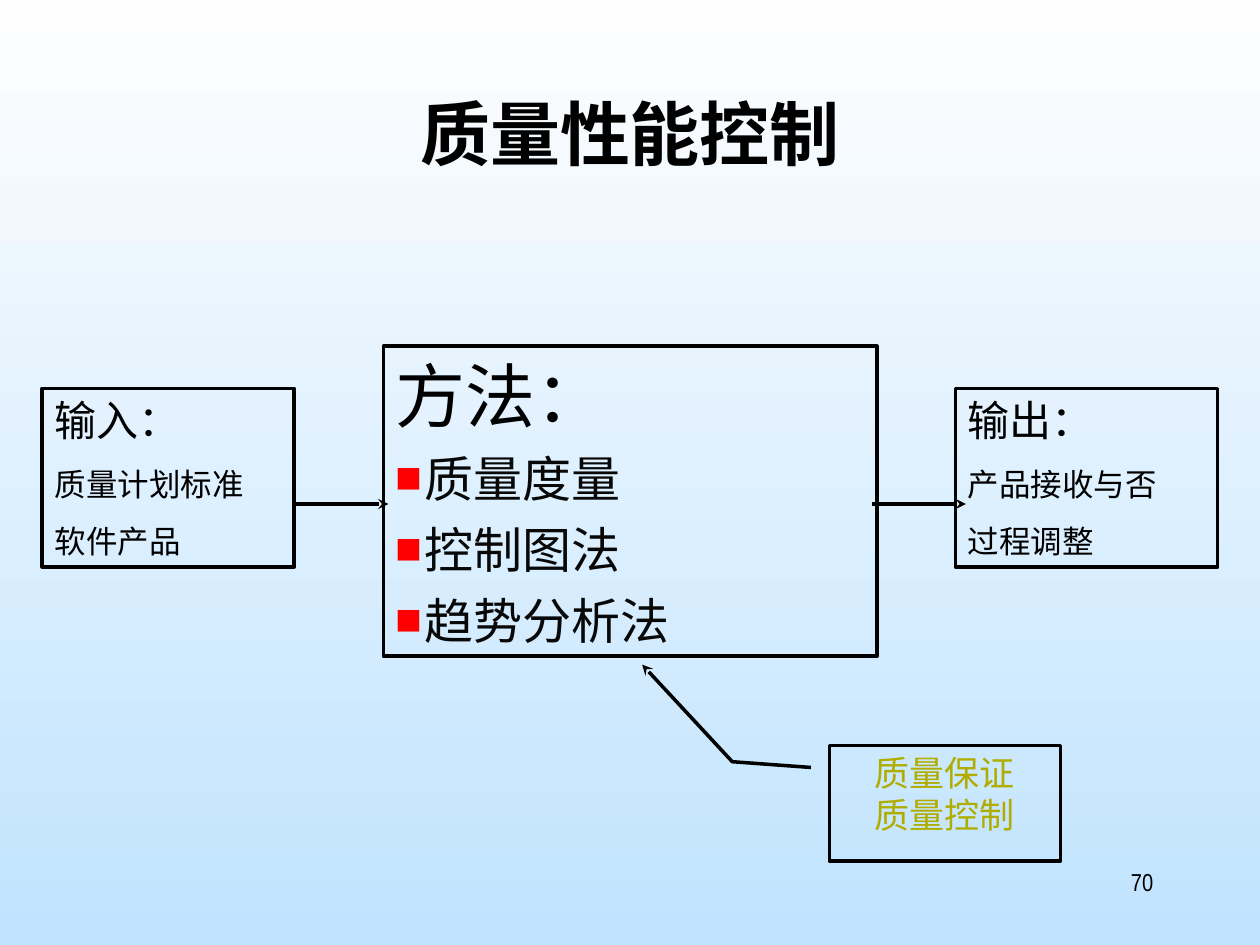
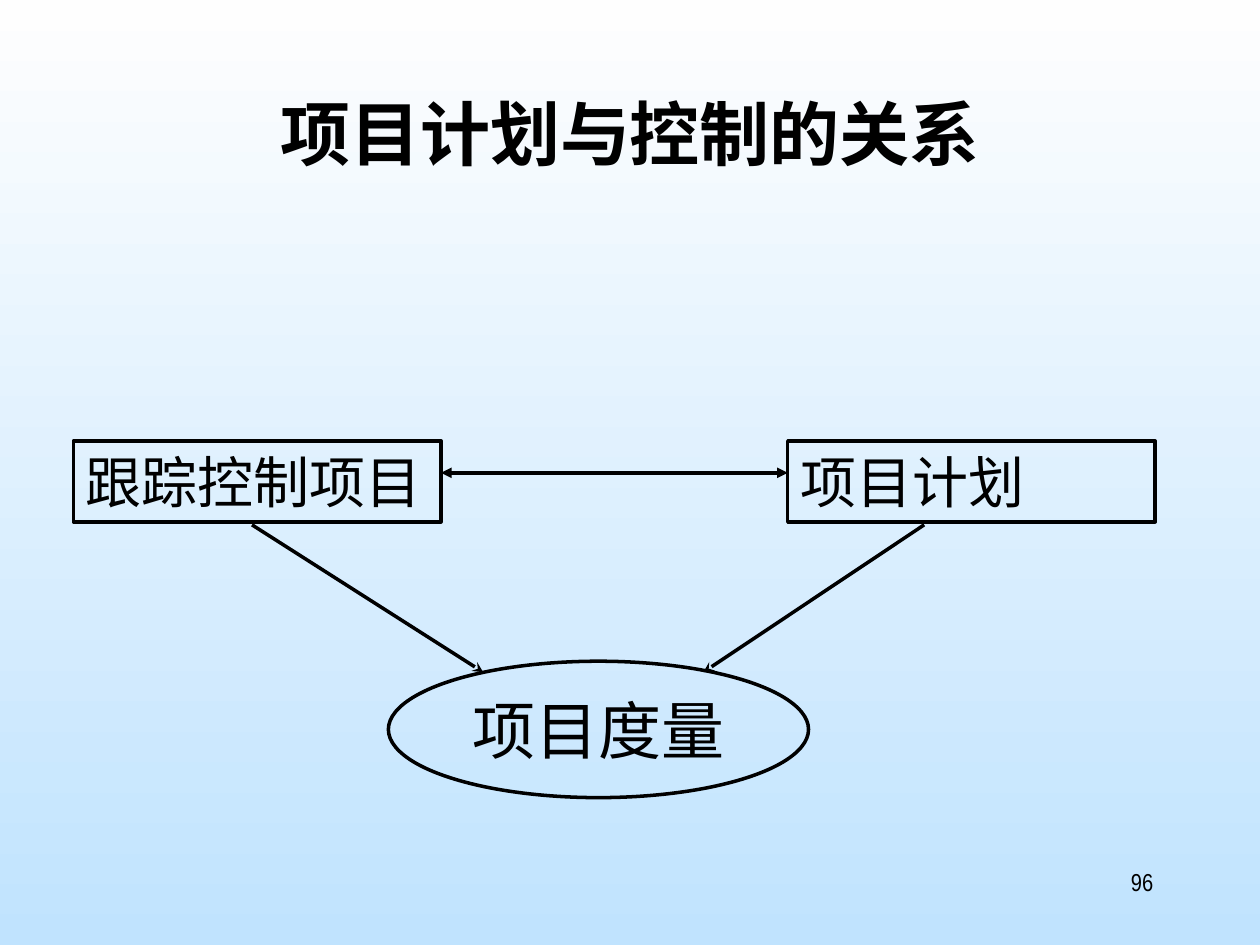
from dataclasses import dataclass
from typing import Optional

from lxml import etree
from pptx import Presentation
from pptx import util as u
from pptx.dml.color import RGBColor
from pptx.enum import lang, shapes, text
from pptx.oxml import ns

BLACK = RGBColor(0x00, 0x00, 0x00)
INK = RGBColor(0x08, 0x08, 0x08)
RED = RGBColor(0xFF, 0x00, 0x00)
OLIVE = RGBColor(0xB0, 0xAC, 0x00)
SKY_TOP = RGBColor(0xFE, 0xFE, 0xFE)
SKY_BOTTOM = RGBColor(0xC0, 0xE3, 0xFE)

NARROW = "Arial Narrow"
SANS = "Noto Sans CJK SC"
LEFT, CENTER, RIGHT = text.PP_ALIGN.LEFT, text.PP_ALIGN.CENTER, text.PP_ALIGN.RIGHT
RECT, OVAL = shapes.MSO_SHAPE.RECTANGLE, shapes.MSO_SHAPE.OVAL
CALLOUT = shapes.MSO_SHAPE.LINE_CALLOUT_2


@dataclass(frozen=True)
class Para:
    """A paragraph of one run."""
    words: str
    size: float
    before: float = 0
    bullet: bool = False
    color: RGBColor = BLACK
    font: str = NARROW
    bold: bool = False
    align: text.PP_ALIGN = LEFT


@dataclass(frozen=True)
class Box:
    """A text area in centimetres, outlined when it has a kind."""
    x: float
    y: float
    w: float
    h: float
    paras: tuple[Para, ...]
    kind: Optional[shapes.MSO_SHAPE] = RECT
    grow: bool = True
    adjust: tuple[float, ...] = ()


@dataclass(frozen=True)
class Arrow:
    """A straight arrow in centimetres."""
    x1: float
    y1: float
    x2: float
    y2: float
    head: Optional[str] = None
    tail: str = "stealth"


@dataclass(frozen=True)
class Page:
    """The contents of one slide."""
    title: str
    number: int
    boxes: tuple[Box, ...]
    arrows: tuple[Arrow, ...]


def add_child(parent, tag: str, **attrs: str):
    """Append a DrawingML element."""
    return etree.SubElement(parent, ns.qn(tag), attrs)


def style_line(sp, head: Optional[str] = None, tail: Optional[str] = None) -> None:
    """Give a shape or connector the black outline and its arrowheads."""
    sp.line.color.rgb = BLACK
    sp.line.width = u.Pt(2)
    ln = sp.line._get_or_add_ln()
    for tag, kind in (("a:headEnd", head), ("a:tailEnd", tail)):
        if kind:
            add_child(ln, tag, type=kind)


def add_bullet(p) -> None:
    """Put a small red square before a paragraph."""
    pPr = p._p.get_or_add_pPr()
    pPr.set("marL", str(u.Cm(0.58)))
    pPr.set("indent", str(-u.Cm(0.58)))
    add_child(add_child(pPr, "a:buClr"), "a:srgbClr", val=str(RED))
    add_child(pPr, "a:buSzPct", val="55000")
    add_child(pPr, "a:buFont", typeface=SANS)
    add_child(pPr, "a:buChar", char="■")


def write(p, para: Para) -> None:
    """Fill a paragraph with its single run."""
    p.alignment = para.align
    if para.before:
        p.space_before = u.Pt(para.before)
    if para.bullet:
        add_bullet(p)
    r = p.add_run()
    r.text = para.words
    r.font.size = u.Pt(para.size)
    r.font.bold = para.bold
    r.font.color.rgb = para.color
    r.font.name = para.font
    r.font.language_id = lang.MSO_LANGUAGE_ID.SIMPLIFIED_CHINESE
    add_child(r._r.get_or_add_rPr(), "a:ea", typeface=NARROW)


def add_box(s, box: Box) -> None:
    """Draw a box with its paragraphs."""
    frame = [u.Cm(n) for n in (box.x, box.y, box.w, box.h)]
    if box.kind is None:
        sp = s.shapes.add_textbox(*frame)
    else:
        sp = s.shapes.add_shape(box.kind, *frame)
        sp.shadow.inherit = False
        sp.fill.background()
        style_line(sp, tail="stealth" if box.kind == CALLOUT else None)
        for i, value in enumerate(box.adjust):
            sp.adjustments[i] = value
    tf = sp.text_frame
    tf.word_wrap = box.kind != OVAL
    tf.vertical_anchor = text.MSO_ANCHOR.MIDDLE if box.kind == OVAL else text.MSO_ANCHOR.TOP
    tf.auto_size = text.MSO_AUTO_SIZE.SHAPE_TO_FIT_TEXT if box.grow else text.MSO_AUTO_SIZE.NONE
    for i, para in enumerate(box.paras):
        write(tf.add_paragraph() if i else tf.paragraphs[0], para)


def add_arrow(s, arrow: Arrow) -> None:
    """Draw an arrow without a shadow."""
    ends = [u.Cm(n) for n in (arrow.x1, arrow.y1, arrow.x2, arrow.y2)]
    cxn = s.shapes.add_connector(shapes.MSO_CONNECTOR.STRAIGHT, *ends)
    style_line(cxn, arrow.head, arrow.tail)
    add_child(cxn._element.spPr, "a:effectLst")


def add_page(prs, page: Page) -> None:
    """Add a slide with background, title, diagram and page number."""
    s = prs.slides.add_slide(prs.slide_layouts[6])
    fill = s.background.fill
    fill.gradient()
    fill.gradient_angle = 270
    for stop, color in zip(fill.gradient_stops, (SKY_TOP, SKY_BOTTOM)):
        stop.color.rgb = color
    title = Para(page.title, 40, font=SANS, bold=True, align=CENTER)
    number = Para(str(page.number), 14, align=RIGHT)
    add_box(s, Box(1.9, 1.7, 21.6, 3.18, (title,), None, grow=False))
    for box in page.boxes:
        add_box(s, box)
    for arrow in page.arrows:
        add_arrow(s, arrow)
    add_box(s, Box(18.2, 17.36, 5.3, 1.27, (number,), None, grow=False))


def listing(heading: str, *items: str) -> tuple[Para, ...]:
    """Return a heading with plain items under it."""
    return Para(heading, 24), *(Para(item, 18, before=11.2) for item in items)


METHODS = Para("方法：", 40), *(
    Para(name, 28, before=7, bullet=True, color=INK, font=SANS)
    for name in ("质量度量", "控制图法", "趋势分析法"))
SUPPORT = tuple(Para(name, 20, color=OLIVE, align=CENTER) for name in ("质量保证", "质量控制"))

PAGES = (
    Page("质量性能控制", 70, (
        Box(7.73, 6.98, 9.95, 6.25, METHODS),
        Box(0.85, 7.83, 5.08, 3.6, listing("输入：", "质量计划标准", "软件产品")),
        Box(19.26, 7.83, 5.29, 3.6, listing("输出：", "产品接收与否", "过程调整")),
        Box(16.72, 15.03, 4.66, 2.33, SUPPORT, CALLOUT, grow=False,
            adjust=(0.19, -0.08, 0.14, -0.42, -0.7, -0.81)),
    ), (
        Arrow(5.93, 10.16, 7.83, 10.16),
        Arrow(17.57, 10.16, 19.47, 10.16),
    )),
    Page("项目计划与控制的关系", 96, (
        Box(1.48, 8.89, 7.41, 1.63, (Para("跟踪控制项目", 32),)),
        Box(15.88, 8.89, 7.41, 1.63, (Para("项目计划", 32),)),
        Box(7.83, 13.33, 8.47, 2.75, (Para("项目度量", 36, align=CENTER),), OVAL, grow=False),
    ), (
        Arrow(5.08, 10.58, 9.74, 13.55),
        Arrow(18.63, 10.58, 14.18, 13.55),
        Arrow(8.89, 9.53, 15.88, 9.53, "triangle", "triangle"),
    )),
)


def main() -> None:
    """Build and save the presentation."""
    prs = Presentation()
    prs.slide_width, prs.slide_height = u.Cm(25.4), u.Cm(19.05)
    for page in PAGES:
        add_page(prs, page)
    prs.save("out.pptx")


if __name__ == "__main__":
    main()
